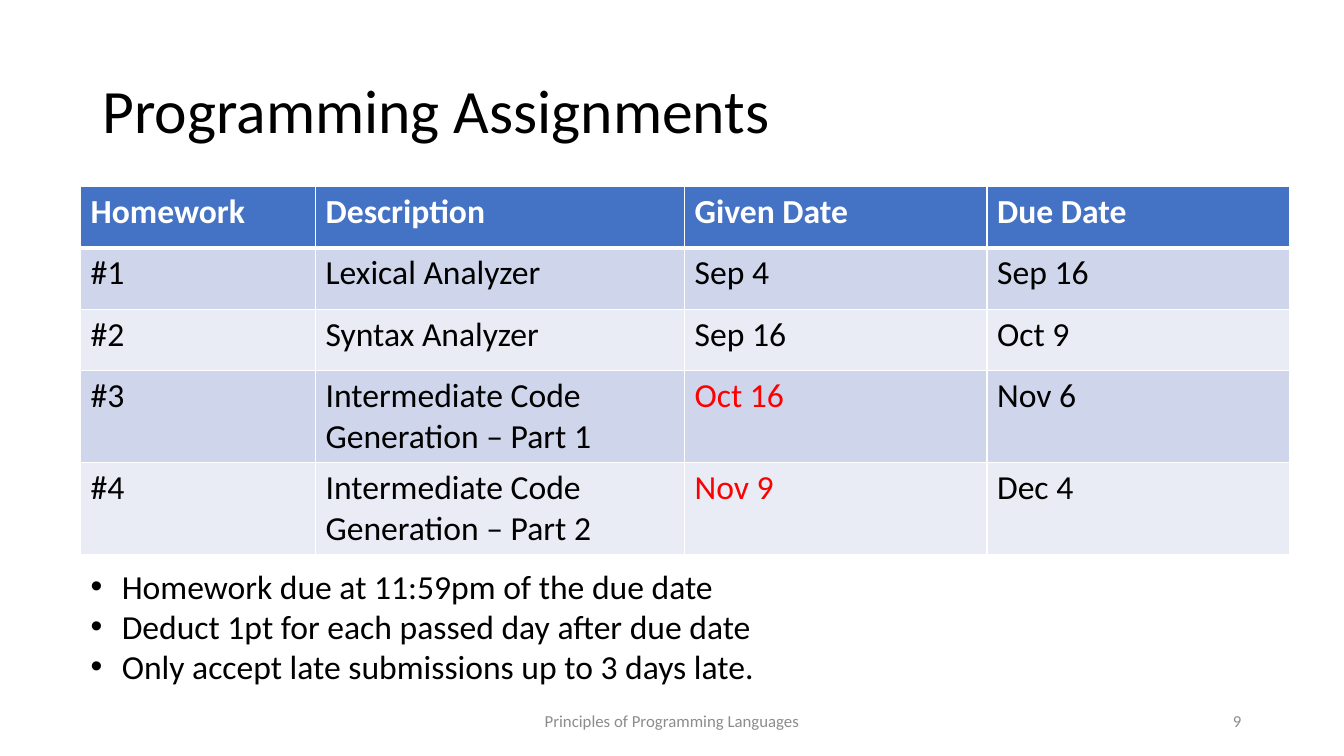
from lxml import etree
from pptx import Presentation
from pptx import util as u
from pptx.dml.color import RGBColor
from pptx.enum import text
from pptx.oxml.ns import qn

TITLE = "Programming Assignments"
FOOTER = "Principles of Programming Languages"
PAGE_NUMBER = "9"
HEADINGS = ("Homework", "Description", "Given Date", "Due Date")
ASSIGNMENTS = [
    ("#1", "Lexical Analyzer", "Sep 4", "Sep 16"),
    ("#2", "Syntax Analyzer", "Sep 16", "Oct 9"),
    ("#3", "Intermediate Code Generation – Part 1", "Oct 16", "Nov 6"),
    ("#4", "Intermediate Code Generation – Part 2", "Nov 9", "Dec 4"),
]
CHANGED_DATES = {(3, 2), (4, 2)}  # (row, column) of dates shown in red
RULES = [
    "Homework due at 11:59pm of the due date",
    "Deduct 1pt for each passed day after due date",
    "Only accept late submissions up to 3 days late.",
]

THEME = {
    "font": "Calibri", "title": 44, "body": 24, "small": 12,
    "ink": "000000", "muted": "8C8C8C", "changed": "FF0000", "white": "FFFFFF",
    "header": "4472C4", "bands": ("CFD5EA", "E9EBF5"),
    "thin": 1, "thick": 3,
}

WIDTH, HEIGHT = 13.33, 7.5
MARGIN = 0.92
TABLE_LEFT, TABLE_TOP = 0.8, 1.85
COLUMNS = (2.33, 3.66, 3, 3)
ROWS = (0.61, 0.61, 0.61, 0.91, 0.91)
FOOT_TOP, FOOT_HEIGHT = 6.95, 0.4
FOOTER_WIDTH, NUMBER_WIDTH = 4.5, 3
HANG = 0.31


def add_span(para, words, size, color, bold=False):
    """Add one styled run to a paragraph."""
    span = para.add_run()
    span.text = words
    span.font.name = THEME["font"]
    span.font.size = u.Pt(THEME[size])
    span.font.bold = bold
    span.font.color.rgb = RGBColor.from_string(THEME[color])


def add_text(page, place, lines, size, color="ink", align=text.PP_ALIGN.LEFT,
             anchor=text.MSO_ANCHOR.MIDDLE):
    """Add a text box with one paragraph per line; return its paragraphs."""
    box = page.shapes.add_textbox(*map(u.Inches, place))
    frame = box.text_frame
    frame.word_wrap = True
    frame.vertical_anchor = anchor
    for index, line in enumerate(lines):
        para = frame.add_paragraph() if index else frame.paragraphs[0]
        para.alignment = align
        add_span(para, line, size, color)
    return frame.paragraphs


def add_bullet(para):
    """Give a paragraph a hanging round bullet."""
    props = para._p.get_or_add_pPr()
    props.set("marL", str(u.Inches(HANG)))
    props.set("indent", str(-u.Inches(HANG)))
    etree.SubElement(props, qn("a:buFont"), typeface="Arial")
    etree.SubElement(props, qn("a:buChar"), char="•")


def add_borders(cell, **weights):
    """Draw white cell borders, keyed by side: L, R, T, B."""
    props = cell._tc.get_or_add_tcPr()
    for index, (side, weight) in enumerate(weights.items()):
        line = etree.Element(qn(f"a:ln{side}"), w=str(u.Pt(THEME[weight])))
        fill = etree.SubElement(line, qn("a:solidFill"))
        etree.SubElement(fill, qn("a:srgbClr"), val=THEME["white"])
        props.insert(index, line)


def add_schedule(page):
    """Add the banded table of assignments."""
    rows = [HEADINGS, *ASSIGNMENTS]
    place = (TABLE_LEFT, TABLE_TOP, sum(COLUMNS), sum(ROWS))
    table = page.shapes.add_table(len(rows), len(COLUMNS), *map(u.Inches, place)).table
    for column, width in zip(table.columns, COLUMNS):
        column.width = u.Inches(width)
    for r, words in enumerate(rows):
        table.rows[r].height = u.Inches(ROWS[r])
        shade = THEME["bands"][(r - 1) % 2] if r else THEME["header"]
        for c, word in enumerate(words):
            cell = table.cell(r, c)
            cell.fill.solid()
            cell.fill.fore_color.rgb = RGBColor.from_string(shade)
            color = "changed" if (r, c) in CHANGED_DATES else "ink" if r else "white"
            add_span(cell.text_frame.paragraphs[0], word, "body", color, bold=r == 0)
            add_borders(cell, L="thin", R="thin",
                        T="thick" if r == 1 else "thin",
                        B="thick" if r == 0 else "thin")


deck = Presentation()
deck.slide_width, deck.slide_height = u.Inches(WIDTH), u.Inches(HEIGHT)
page = deck.slides.add_slide(deck.slide_layouts[6])

heading = add_text(page, (MARGIN, 0.4, WIDTH - 2 * MARGIN, 1.45), [TITLE], "title")
heading[0].line_spacing = 0.9
add_schedule(page)
for rule in add_text(page, (TABLE_LEFT, 5.56, 6.82, 1.31), RULES, "body",
                     anchor=text.MSO_ANCHOR.TOP):
    add_bullet(rule)
add_text(page, ((WIDTH - FOOTER_WIDTH) / 2, FOOT_TOP, FOOTER_WIDTH, FOOT_HEIGHT),
         [FOOTER], "small", "muted", text.PP_ALIGN.CENTER)
add_text(page, (WIDTH - MARGIN - NUMBER_WIDTH, FOOT_TOP, NUMBER_WIDTH, FOOT_HEIGHT),
         [PAGE_NUMBER], "small", "muted", text.PP_ALIGN.RIGHT)

deck.save("out.pptx")
